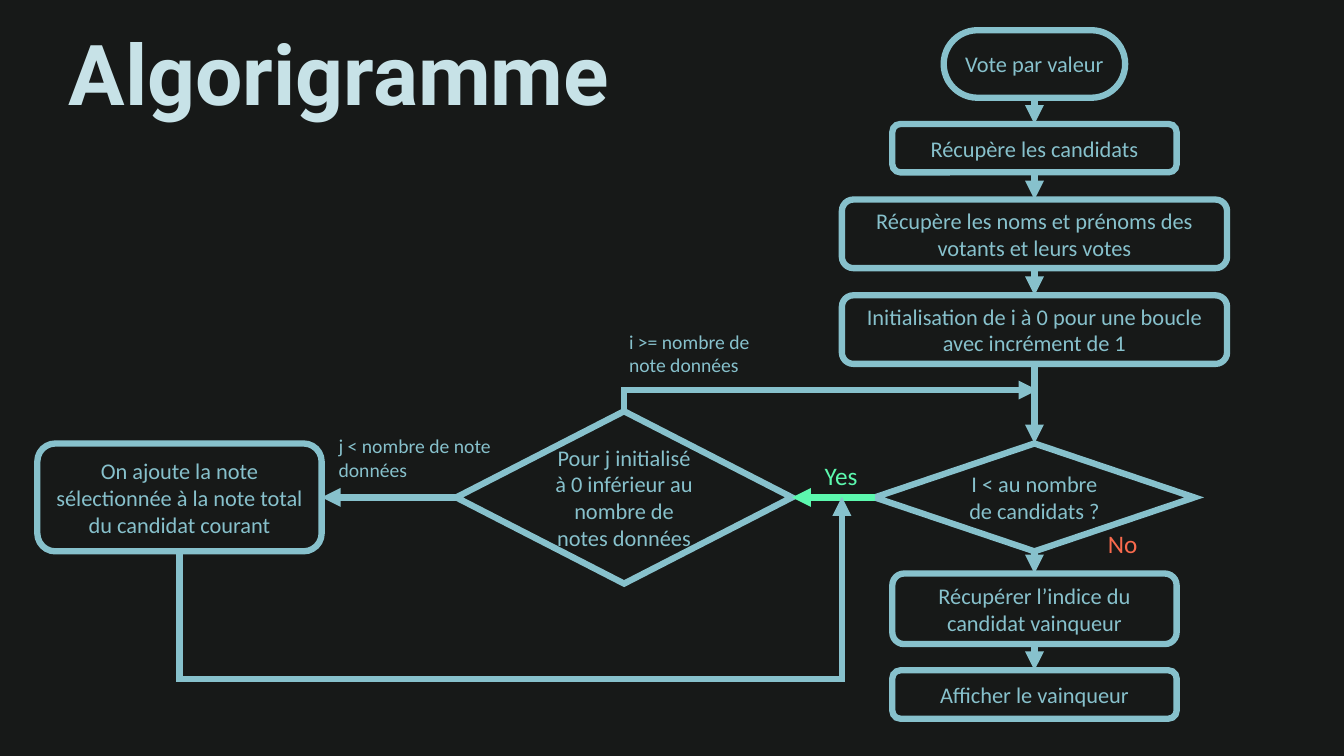
from dataclasses import dataclass

from lxml.etree import SubElement
from pptx import Presentation
from pptx.dml.color import RGBColor
from pptx.enum.shapes import MSO_CONNECTOR, MSO_SHAPE
from pptx.enum.text import MSO_ANCHOR, MSO_AUTO_SIZE, PP_ALIGN
from pptx.oxml.ns import qn
from pptx.util import Inches, Pt


@dataclass(frozen=True)
class Theme:
    background: str = "171918"
    title: str = "C7E2E7"
    flow: str = "87C1CC"
    yes: str = "5CF8AE"
    no: str = "F96A4D"
    title_font: str = "Roboto"
    body_font: str = "Calibri"
    title_size: int = 60
    step_size: int = 16
    note_size: int = 14
    answer_size: int = 18
    stroke: float = 4.5


# Connection sites shared by rounded boxes and diamonds
TOP, LEFT, BOTTOM, RIGHT = range(4)


class Flowchart:
    def __init__(self, slide, theme):
        self.slide = slide
        self.theme = theme
        fill = slide.background.fill
        fill.solid()
        fill.fore_color.rgb = RGBColor.from_string(theme.background)

    def set_text(self, shape, text, size, color, font=None, bold=False,
                 align=PP_ALIGN.LEFT, anchor=MSO_ANCHOR.TOP):
        tf = shape.text_frame
        tf.text = text
        tf.word_wrap = True
        tf.auto_size = MSO_AUTO_SIZE.NONE
        tf.vertical_anchor = anchor
        p = tf.paragraphs[0]
        p.alignment = align
        r = p.runs[0]
        r.font.name = font or self.theme.body_font
        r.font.size = Pt(size)
        r.font.bold = bold
        r.font.color.rgb = RGBColor.from_string(color)

    def stroke(self, shape, color):
        shape.line.width = Pt(self.theme.stroke)
        shape.line.color.rgb = RGBColor.from_string(color)
        ln = shape.line._get_or_add_ln()
        SubElement(ln, qn("a:miter"), lim="800000")
        return ln

    def title(self, text, x, y, w, h):
        sp = self.slide.shapes.title
        sp.left, sp.top, sp.width, sp.height = map(Inches, (x, y, w, h))
        self.set_text(sp, text, self.theme.title_size, self.theme.title,
                      self.theme.title_font, bold=True)

    def step(self, text, center, top, w, h, kind=MSO_SHAPE.ROUNDED_RECTANGLE):
        sp = self.slide.shapes.add_shape(
            kind, Inches(center - w / 2), Inches(top), Inches(w), Inches(h))
        sp.shadow.inherit = False
        sp.fill.background()
        self.stroke(sp, self.theme.flow)
        self.set_text(sp, text, self.theme.step_size, self.theme.flow,
                      align=PP_ALIGN.CENTER, anchor=MSO_ANCHOR.MIDDLE)
        return sp

    def decision(self, text, center, top, w, h):
        return self.step(text, center, top, w, h, MSO_SHAPE.FLOWCHART_DECISION)

    def label(self, text, x, y, w, h, size, color):
        sp = self.slide.shapes.add_textbox(*map(Inches, (x, y, w, h)))
        self.set_text(sp, text, size, color)

    def connector(self, kind, color):
        cxn = self.slide.shapes.add_connector(kind, 0, 0, 0, 0)
        ln = self.stroke(cxn, color)
        SubElement(ln, qn("a:tailEnd"), type="triangle")
        SubElement(cxn._element.spPr, qn("a:effectLst"))
        return cxn

    def arrow(self, source, target, sites=(BOTTOM, TOP), color=None):
        cxn = self.connector(MSO_CONNECTOR.STRAIGHT, color or self.theme.flow)
        cxn.begin_connect(source, sites[0])
        cxn.end_connect(target, sites[1])

    def loop_arrow(self, x1, y1, x2, y2, detour=None):
        """Elbow from lower left to upper right that leaves vertically.

        With a detour it first runs to that height, then ends upward.
        """
        cxn = self.connector(MSO_CONNECTOR.ELBOW, self.theme.flow)
        # The box is turned a quarter, so its width is the rise
        w, h = y1 - y2, x2 - x1
        cxn.left = Inches((x1 + x2 - w) / 2)
        cxn.top = Inches((y1 + y2 - h) / 2)
        cxn.width, cxn.height = Inches(w), Inches(h)
        xfrm = cxn._element.spPr.find(qn("a:xfrm"))
        for name, value in (("rot", "5400000"), ("flipH", "1"), ("flipV", "1")):
            xfrm.set(name, value)
        geom = cxn._element.spPr.find(qn("a:prstGeom"))
        if detour is None:
            geom.set("prst", "bentConnector2")
        else:
            ratio = round((y1 - detour) / w * 100000)
            SubElement(geom.find(qn("a:avLst")), qn("a:gd"),
                       name="adj1", fmla=f"val {ratio}")


prs = Presentation()
prs.slide_width, prs.slide_height = Inches(13.33), Inches(7.5)
theme = Theme()
s = Flowchart(prs.slides.add_slide(prs.slide_layouts[5]), theme)

s.title("Algorigramme", 0.58, 0.16, 6.51, 1.11)

# Main column
MAIN = 10.26
start = s.step("Vote par valeur", MAIN, 0.3, 1.8, 0.67)
start.adjustments[0] = 0.5
candidates = s.step("Récupère les candidats", MAIN, 1.23, 2.82, 0.48)
voters = s.step("Récupère les noms et prénoms des votants et leurs votes",
                MAIN, 1.98, 3.82, 0.68)
init = s.step("Initialisation de i à 0 pour une boucle avec incrément de 1",
              MAIN, 2.93, 3.82, 0.68)
outer = s.decision("I < au nombre de candidats ?", MAIN, 4.4, 3.17, 1.07)
winner = s.step("Récupérer l’indice du candidat vainqueur", MAIN, 5.69, 2.82, 0.7)
display = s.step("Afficher le vainqueur", MAIN, 6.65, 2.82, 0.48)

column = [start, candidates, voters, init, outer, winner, display]
for source, target in zip(column, column[1:]):
    s.arrow(source, target)

# Inner loop
inner = s.decision("Pour j initialisé à 0 inférieur au nombre de notes données",
                   6.19, 4.08, 3.33, 1.71)
add_note = s.step("On ajoute la note sélectionnée à la note total du candidat courant",
                  1.78, 4.4, 2.82, 1.07)
s.arrow(outer, inner, (LEFT, RIGHT), theme.yes)
s.arrow(inner, add_note, (LEFT, RIGHT))
s.loop_arrow(6.19, 4.08, 10.29, 3.87)
s.loop_arrow(1.78, 5.47, 8.35, 4.93, detour=6.74)

# Branch labels
s.label("Yes", 8.08, 4.52, 0.55, 0.4, theme.answer_size, theme.yes)
s.label("No", 10.89, 5.19, 0.55, 0.4, theme.answer_size, theme.no)
s.label("j < nombre de note données", 3.26, 4.26, 1.72, 0.57,
        theme.note_size, theme.flow)
s.label("i >= nombre de note données", 6.14, 3.22, 1.72, 0.57,
        theme.note_size, theme.flow)

prs.save("out.pptx")
